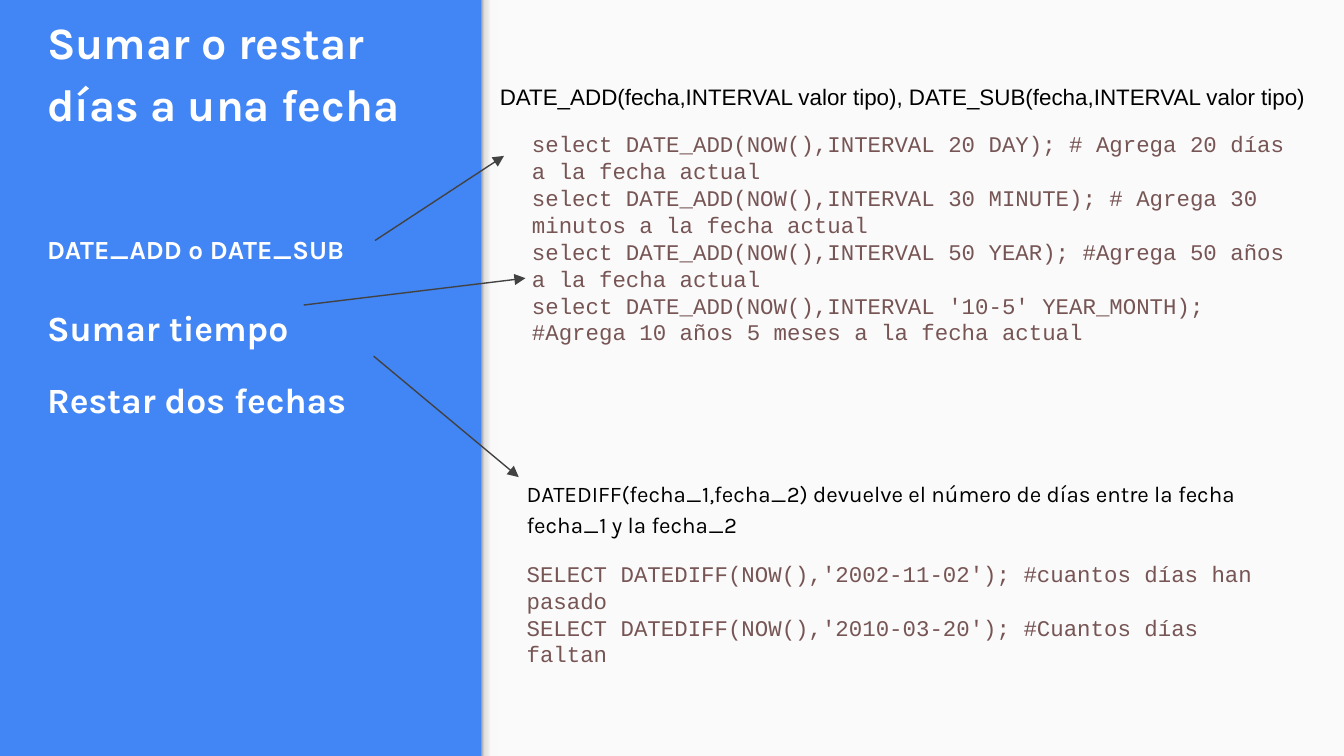
from lxml import etree
from pptx import Presentation
from pptx.dml.color import RGBColor
from pptx.enum.shapes import MSO_CONNECTOR, MSO_SHAPE
from pptx.enum.text import MSO_ANCHOR, MSO_AUTO_SIZE, PP_ALIGN
from pptx.oxml.ns import qn
from pptx.util import Inches, Pt

RECTANGLE = MSO_SHAPE.RECTANGLE
STRAIGHT = MSO_CONNECTOR.STRAIGHT
LEFT = PP_ALIGN.LEFT
TOP, BOTTOM = MSO_ANCHOR.TOP, MSO_ANCHOR.BOTTOM
NO_FIT = MSO_AUTO_SIZE.NONE

WIDTH = 10
HEIGHT = WIDTH * 9 / 16
SPLIT = 3.58
COLORS = {"blue": "4285F4", "panel": "FAFAFA", "white": "FFFFFF",
          "black": "000000", "code": "775555", "arrow": "424242"}
EDGE_STOPS = [(0, "999999"), (20, "DEDEDE"), (64, "F9F9F9"), (100, "F9F9F9")]

# Text styles: font, size, color, bold, line spacing
STYLES = {
    "title": ("Karla", 24, "white", True, 1.15),
    "function": ("Karla", 14, "white", True, 1.15),
    "topic": ("Karla", 19, "white", True, 1.15),
    "syntax": ("Arial", 12, "black", False, 1.15),
    "note": ("Karla", 12, "black", False, 1.15),
    "code": ("Courier New", 12, "code", False, 1),
}

# Paragraphs: text, style, space before in points
TITLE = [("Sumar o restar días a una fecha", "title", 0)]
TOPICS = [
    ("DATE_ADD o DATE_SUB", "function", 0),
    ("Sumar tiempo", "topic", 19),
    ("Restar dos fechas", "topic", 12.5),
]
SYNTAX = [("DATE_ADD(fecha,INTERVAL valor tipo), "
           "DATE_SUB(fecha,INTERVAL valor tipo)", "syntax", 0)]
ADD_EXAMPLES = [(line, "code", 0) for line in (
    "select DATE_ADD(NOW(),INTERVAL 20 DAY); # Agrega 20 días a la fecha actual",
    "select DATE_ADD(NOW(),INTERVAL 30 MINUTE); # Agrega 30 minutos a la fecha actual",
    "select DATE_ADD(NOW(),INTERVAL 50 YEAR); #Agrega 50 años a la fecha actual",
    "select DATE_ADD(NOW(),INTERVAL '10-5' YEAR_MONTH); "
    "#Agrega 10 años 5 meses a la fecha actual",
)]
DIFFERENCE = [
    ("DATEDIFF(fecha_1,fecha_2) devuelve el número de días entre la fecha "
     "fecha_1 y la fecha_2", "note", 0),
    ("SELECT DATEDIFF(NOW(),'2002-11-02'); #cuantos días han pasado", "code", 12),
    ("SELECT DATEDIFF(NOW(),'2010-03-20'); #Cuantos días faltan", "code", 0),
]

# Left, top, width, height
TITLE_AREA = (0.25, 0.29, 3.07, 0.78)
TOPICS_AREA = (0.25, 1.6, 3.07, 3.44)
TEXT_BOXES = [
    ((3.62, 0.49, 6.25, 1.48), SYNTAX),
    ((3.86, 0.87, 5.87, 1.82), ADD_EXAMPLES),
    ((3.82, 3.44, 5.87, 1.64), DIFFERENCE),
]
# From x, from y, to x, to y
ARROWS = [(2.79, 1.79, 3.75, 1.16), (2.26, 2.27, 3.91, 2.07),
          (2.78, 2.65, 3.86, 3.55)]


def color(name):
    return RGBColor.from_string(COLORS[name])


def inches(values):
    return [Inches(value) for value in values]


def write(box, area, paragraphs, anchor=TOP):
    box.left, box.top, box.width, box.height = inches(area)
    frame = box.text_frame
    frame.word_wrap = True
    frame.auto_size = NO_FIT
    frame.vertical_anchor = anchor
    frame.margin_left = frame.margin_right = Inches(0.1)
    frame.margin_top = frame.margin_bottom = Inches(0.1)
    frame.text = "\n".join(text for text, _, _ in paragraphs)
    for para, (_, style, before) in zip(frame.paragraphs, paragraphs):
        font_name, size, color_name, bold, spacing = STYLES[style]
        para.alignment = LEFT
        para.line_spacing = spacing
        para.space_before, para.space_after = Pt(before), Pt(0)
        for span in para.runs:
            span.font.name, span.font.size = font_name, Pt(size)
            span.font.bold = bold
            span.font.color.rgb = color(color_name)


def add_rectangle(page, left, width):
    shape = page.shapes.add_shape(
        RECTANGLE, *inches((left, 0, width, HEIGHT)))
    shape.shadow.inherit = False
    shape.line.fill.background()
    return shape


def add_arrow(page, ends):
    arrow = page.shapes.add_connector(STRAIGHT, *inches(ends))
    arrow.line.color.rgb = color("arrow")
    arrow.line.width = Pt(0.75)
    properties = arrow.element.spPr
    etree.SubElement(properties.find(qn("a:ln")), qn("a:tailEnd"), type="triangle")
    etree.SubElement(properties, qn("a:effectLst"))


deck = Presentation()
deck.slide_width, deck.slide_height = inches((WIDTH, HEIGHT))
page = deck.slides.add_slide(deck.slide_layouts[1])
page.background.fill.solid()
page.background.fill.fore_color.rgb = color("blue")

# Right panel and its shaded edge
panel = add_rectangle(page, SPLIT, WIDTH - SPLIT)
panel.fill.solid()
panel.fill.fore_color.rgb = color("panel")
edge = add_rectangle(page, SPLIT, 0.12)
edge.fill.gradient()
edge.fill.gradient_angle = 0
stop_list = edge.element.spPr.find(qn("a:gradFill")).find(qn("a:gsLst"))
for stop in list(stop_list):
    stop_list.remove(stop)
for share, value in EDGE_STOPS:
    stop = etree.SubElement(stop_list, qn("a:gs"), pos=str(share * 1000))
    etree.SubElement(stop, qn("a:srgbClr"), val=value)

# Title and topics, in front of the panel
title, topics = page.shapes.title, page.placeholders[1]
write(title, TITLE_AREA, TITLE, BOTTOM)
write(topics, TOPICS_AREA, TOPICS)
for placeholder in (title, topics):
    page.shapes.element.append(placeholder.element)
for para in topics.text_frame.paragraphs:
    properties = para._p.get_or_add_pPr()
    properties.set("marL", "0")
    properties.set("indent", "0")
    etree.SubElement(properties, qn("a:buNone"))

# Explanations and arrows
for area, paragraphs in TEXT_BOXES:
    write(page.shapes.add_textbox(*inches(area)), area, paragraphs)
for ends in ARROWS:
    add_arrow(page, ends)

deck.save("out.pptx")
